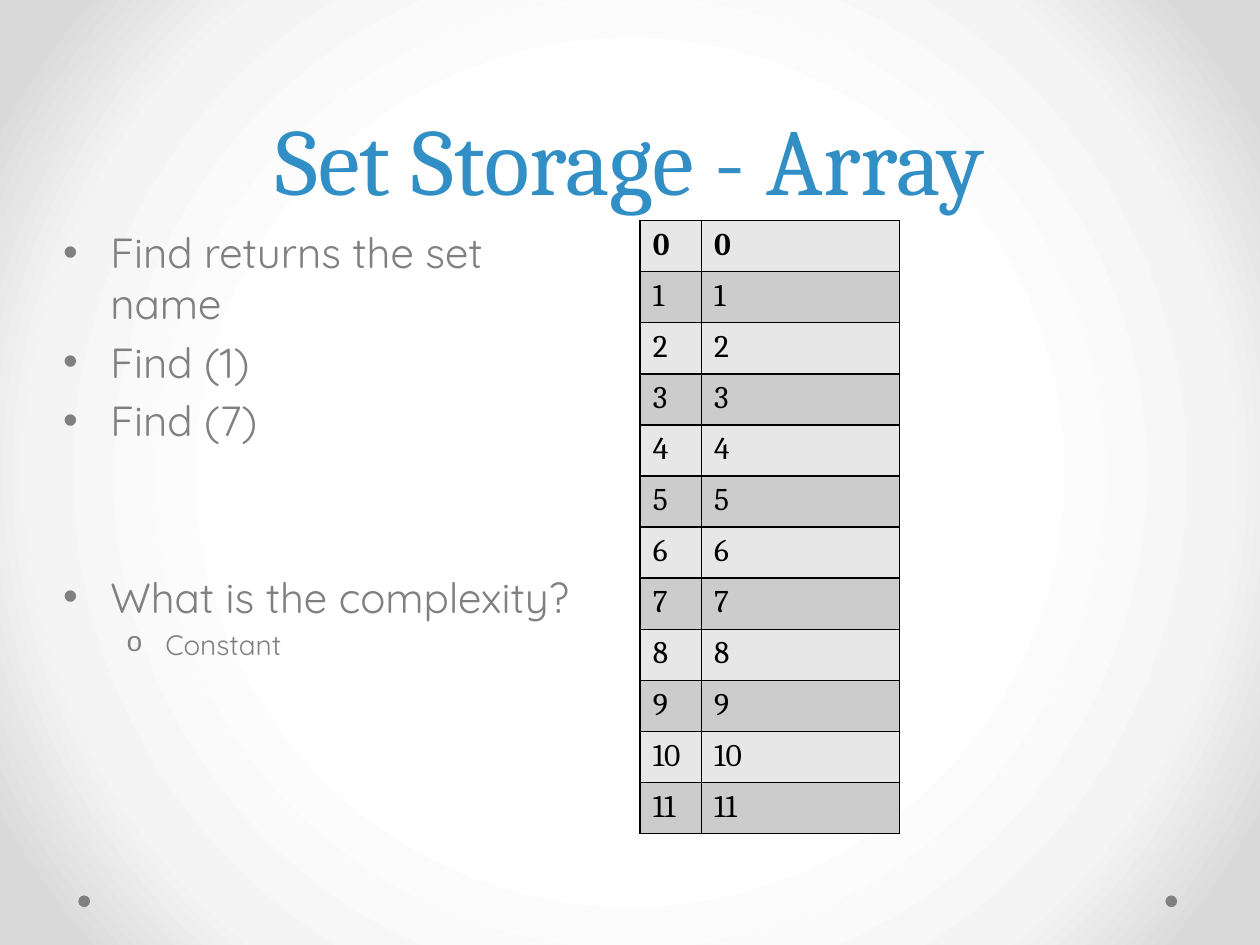
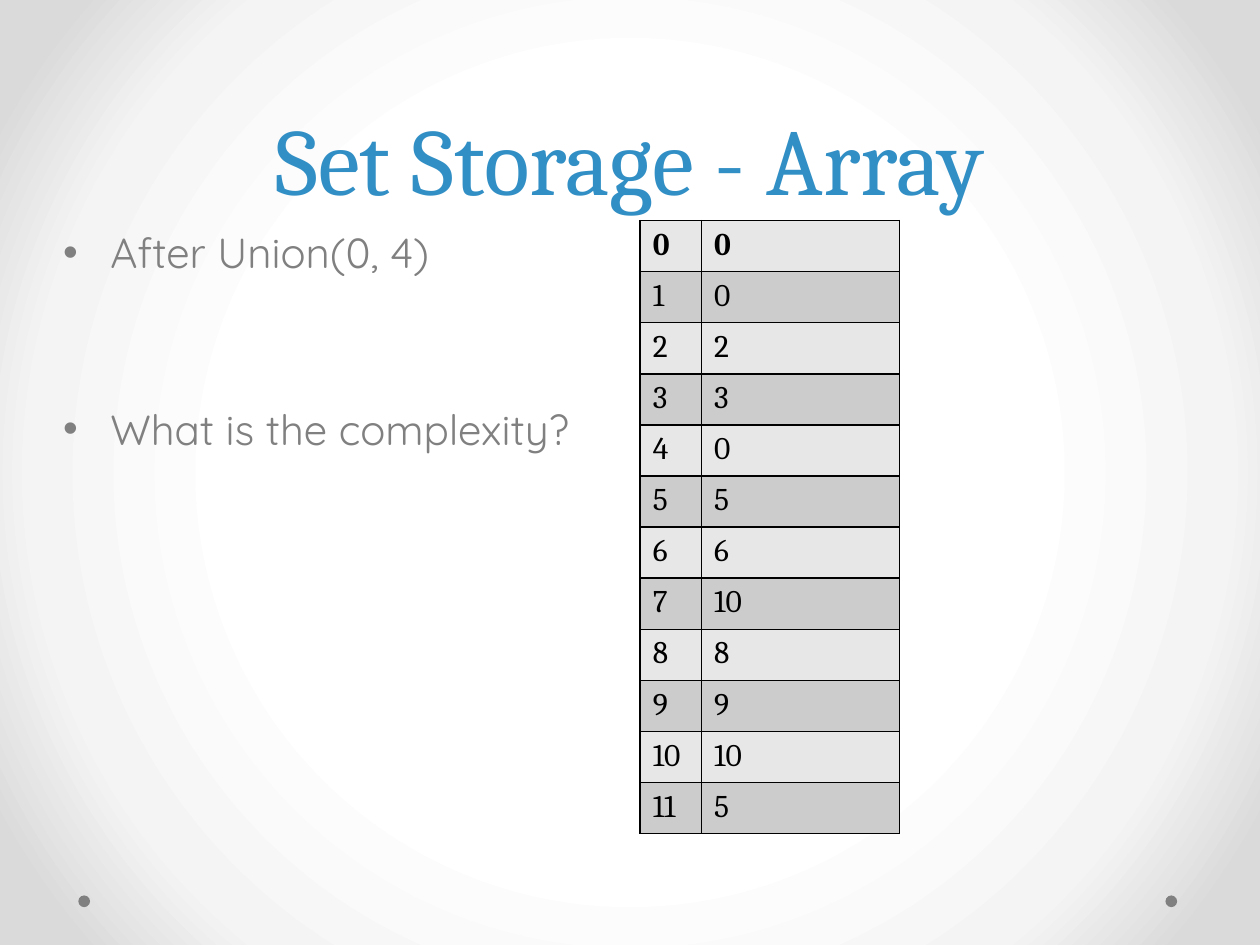
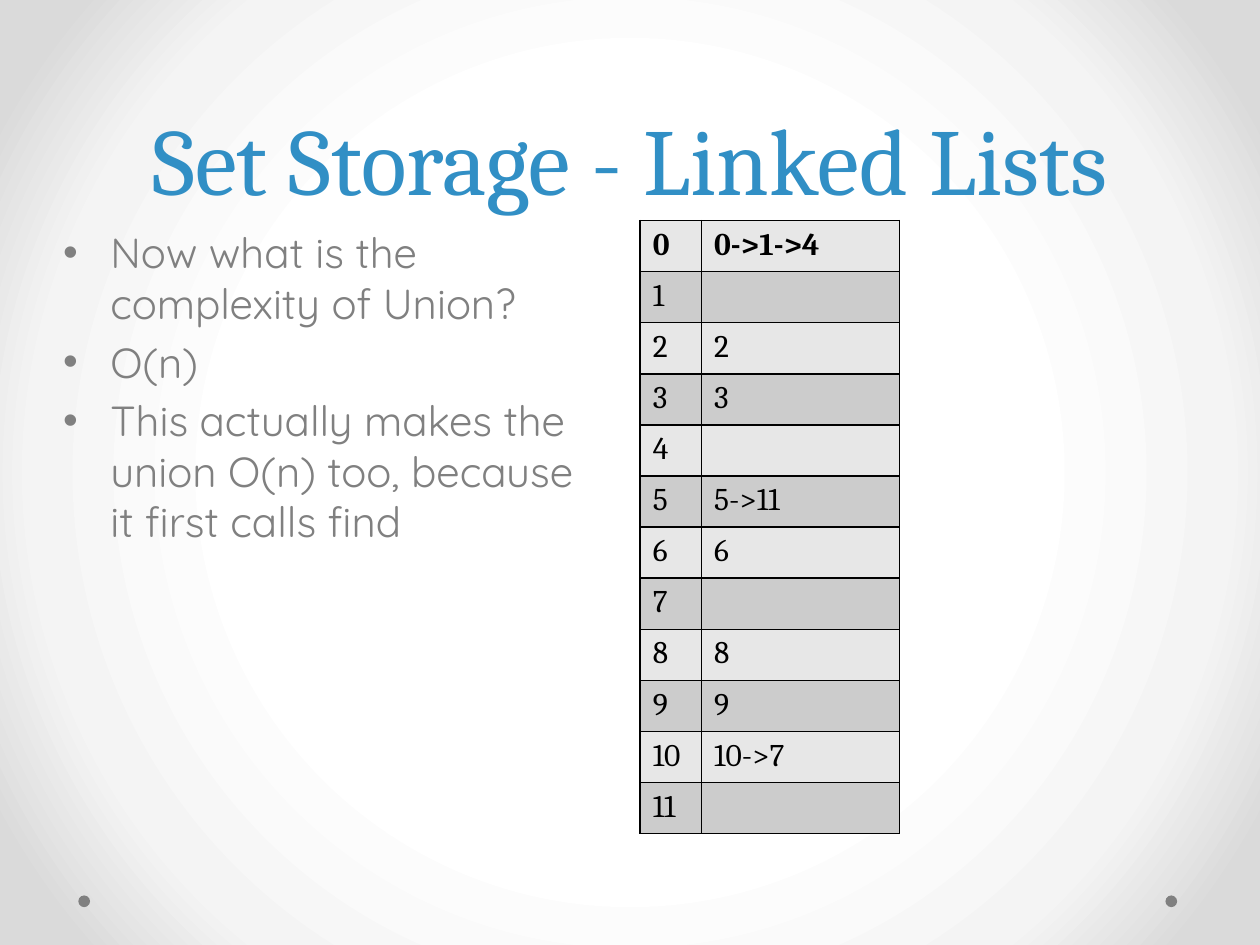
from lxml import etree
from pptx import Presentation
from pptx.dml.color import RGBColor
from pptx.enum.shapes import MSO_SHAPE
from pptx.enum.text import MSO_ANCHOR, MSO_AUTO_SIZE, PP_ALIGN
from pptx.oxml.ns import qn
from pptx.util import Pt

OVAL = MSO_SHAPE.OVAL
CENTER = PP_ALIGN.CENTER
TOP, BOTTOM = MSO_ANCHOR.TOP, MSO_ANCHOR.BOTTOM
NO_FIT = MSO_AUTO_SIZE.NONE

BLUE, GRAY, BLACK = "318FC5", "808080", "000000"
ROW_FILLS = ("E7E7E7", "CCCCCC")
BACKDROP = ((50, "FFFFFF"), (76, "F4F4F4"), (92, "DADADA"))
SERIF, SANS = "Cambria", "Quicksand"

TITLE_BOX = (36, 0, 648, 126)
BODY_BOX = (28.8, 126, 318.2, 356.4)
TABLE_LEFT, TABLE_TOP = 365.8, 126
COLUMN_WIDTHS = (35.1, 113.2)
ROW_HEIGHT = 29.22
DOT_LEFTS, DOT_TOP, DOT_SIZE = (44.8, 666), 511.7, 6.7

# Per list level: bullet, bullet font, text size, left indent, hanging indent
LEVELS = (("•", "Arial", 24, 27, 27), ("o", "Courier New", 16, 58.5, 22.5))
SPACE_SHARE = 0.2  # space before a paragraph, as a share of its text size
PAUSE = 72         # space before a question set apart from the list

# Bullets are (text, level, set apart); set names are listed by element number.
SLIDES = [
    {
        "title": "Set Storage - Array",
        "bullets": [
            ("Find returns the set name", 0, False),
            ("Find (1)", 0, False),
            ("Find (7)", 0, False),
            ("What is the complexity?", 0, True),
            ("Constant", 1, False),
        ],
        "sets": [str(n) for n in range(12)],
    },
    {
        "title": "Set Storage - Array",
        "bullets": [
            ("After Union(0, 4)", 0, False),
            ("What is the complexity?", 0, True),
        ],
        "sets": ["0", "0", "2", "3", "0", "5", "6", "10", "8", "9", "10", "5"],
    },
    {
        "title": "Set Storage - Linked Lists",
        "bullets": [
            ("Now what is the complexity of Union?", 0, False),
            ("O(n)", 0, False),
            ("This actually makes the union O(n) too, because it first calls find", 0, False),
        ],
        "sets": ["0->1->4", "", "2", "3", "", "5->11", "6", "", "8", "9", "10->7", ""],
    },
]


def rgb(color):
    return RGBColor.from_string(color)


def add_node(parent, tag, **attrs):
    return etree.SubElement(parent, qn(tag), attrs)


def add_run(p, text, font, size, color, bold=False):
    r = p.add_run()
    r.text = text
    r.font.name, r.font.size, r.font.bold = font, Pt(size), bold
    r.font.color.rgb = rgb(color)


def place(sp, box, anchor):
    """Move a placeholder and return its text frame, ready for text."""
    sp.left, sp.top, sp.width, sp.height = map(Pt, box)
    tf = sp.text_frame
    tf.word_wrap, tf.auto_size, tf.vertical_anchor = True, NO_FIT, anchor
    return tf


def set_backdrop(layout):
    layout.background.fill.gradient()
    grad = layout.element.xpath(".//p:bgPr/a:gradFill")[0]
    for child in list(grad):
        grad.remove(child)
    stops = add_node(grad, "a:gsLst")
    for position, color in BACKDROP:
        stop = add_node(stops, "a:gs", pos=str(position * 1000))
        add_node(stop, "a:srgbClr", val=color)
    circle = add_node(grad, "a:path", path="circle")
    add_node(circle, "a:fillToRect", **dict.fromkeys("ltrb", "50000"))


def add_dots(s, layout):
    """Draw the two footer dots and hand them to the layout, for all slides."""
    for left in DOT_LEFTS:
        dot = s.shapes.add_shape(OVAL, Pt(left), Pt(DOT_TOP), Pt(DOT_SIZE), Pt(DOT_SIZE))
        dot.shadow.inherit = False
        dot.fill.solid()
        dot.fill.fore_color.rgb = rgb(GRAY)
        dot.line.fill.background()
        layout.shapes.element.append(dot.element)


def add_title(s, text):
    p = place(s.shapes.title, TITLE_BOX, BOTTOM).paragraphs[0]
    p.alignment, p.line_spacing = CENTER, Pt(58)
    add_run(p, text, SERIF, 54, BLUE)


def add_bullets(s, bullets):
    tf = place(s.placeholders[1], BODY_BOX, TOP)
    for i, (text, level, apart) in enumerate(bullets):
        p = tf.add_paragraph() if i else tf.paragraphs[0]
        char, char_font, size, indent, hanging = LEVELS[level]
        p.level = level
        p.space_before = Pt(PAUSE if apart else size * SPACE_SHARE)
        pPr = p._p.get_or_add_pPr()
        pPr.set("marL", str(Pt(indent)))
        pPr.set("indent", str(-Pt(hanging)))
        add_node(pPr, "a:buFont", typeface=char_font)
        add_node(pPr, "a:buChar", char=char)
        add_run(p, text, SANS, size, GRAY)


def add_borders(cell):
    tcPr = cell._tc.get_or_add_tcPr()
    for side in "LRTB":
        line = add_node(tcPr, f"a:ln{side}", w=str(Pt(1)))
        add_node(add_node(line, "a:solidFill"), "a:srgbClr", val=BLACK)


def add_set_table(s, sets):
    """Add a table with each element's number beside the set stored for it."""
    table = s.shapes.add_table(
        len(sets), len(COLUMN_WIDTHS), Pt(TABLE_LEFT), Pt(TABLE_TOP),
        Pt(sum(COLUMN_WIDTHS)), Pt(ROW_HEIGHT * len(sets))).table
    for column, width in zip(table.columns, COLUMN_WIDTHS):
        column.width = Pt(width)
    for i, name in enumerate(sets):
        table.rows[i].height = Pt(ROW_HEIGHT)
        for j, text in enumerate((str(i), name)):
            cell = table.cell(i, j)
            add_borders(cell)
            cell.fill.solid()
            cell.fill.fore_color.rgb = rgb(ROW_FILLS[i % 2])
            if text:
                add_run(cell.text_frame.paragraphs[0], text, SERIF, 18, BLACK, bold=i == 0)


def main():
    prs = Presentation()
    prs.slide_width, prs.slide_height = Pt(720), Pt(540)
    layout = prs.slide_layouts[1]
    set_backdrop(layout)
    for content in SLIDES:
        s = prs.slides.add_slide(layout)
        add_title(s, content["title"])
        add_set_table(s, content["sets"])
        add_bullets(s, content["bullets"])
    add_dots(prs.slides[0], layout)
    prs.save("out.pptx")


if __name__ == "__main__":
    main()
